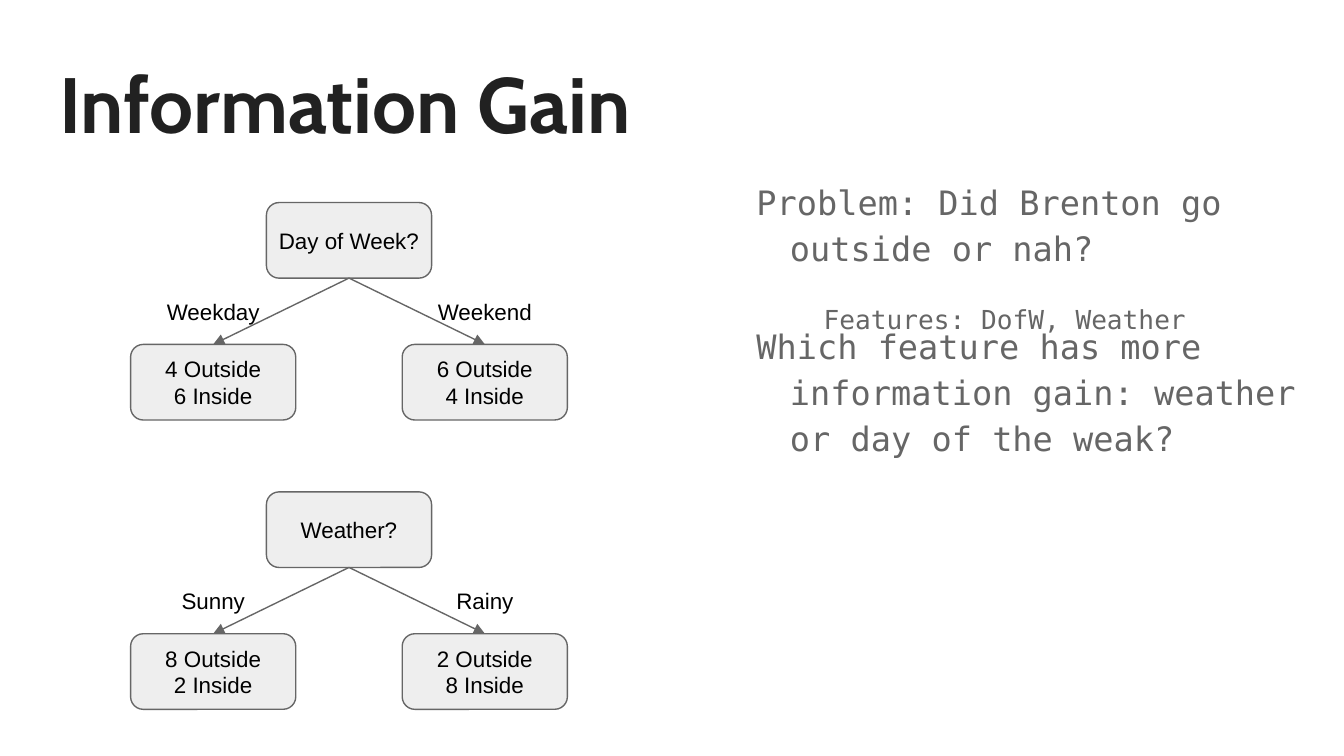
from lxml import etree
from pptx import Presentation
from pptx.dml.color import RGBColor
from pptx.enum import shapes, text
from pptx.oxml.ns import qn
from pptx.util import Pt

INK = RGBColor(0x21, 0x21, 0x21)
GREY = RGBColor(0x66, 0x66, 0x66)
PALE = RGBColor(0xEE, 0xEE, 0xEE)
BLACK = RGBColor(0, 0, 0)

NODE_W, NODE_H = 88.5, 40.5
LABEL_W, LABEL_H = 109.5, 34.5
MID = 187        # centre line of the trees
SIDE = 72.75     # from the centre line to a leaf's centre
DROP = 76        # from a root's top to its leaves' top


def place(shape, left, top, width, height):
    shape.left, shape.top = Pt(left), Pt(top)
    shape.width, shape.height = Pt(width), Pt(height)


def style(par, font, size, color, bold=False):
    for run in par.runs:
        run.font.name, run.font.size = font, Pt(size)
        run.font.color.rgb, run.font.bold = color, bold


def fill_text(shape, words, inset=0):
    """Write centred 12 pt text, one paragraph per line."""
    frame = shape.text_frame
    frame.text = words
    frame.word_wrap = True
    frame.vertical_anchor = text.MSO_ANCHOR.MIDDLE
    frame.margin_left = frame.margin_right = Pt(inset)
    frame.margin_top = frame.margin_bottom = Pt(inset)
    for par in frame.paragraphs:
        par.alignment = text.PP_ALIGN.CENTER
        style(par, "Arial", 12, BLACK)


def add_node(slide, mid, top, words):
    node = slide.shapes.add_shape(
        shapes.MSO_SHAPE.ROUNDED_RECTANGLE,
        Pt(mid - NODE_W / 2), Pt(top), Pt(NODE_W), Pt(NODE_H))
    node.shadow.inherit = False
    node.fill.solid()
    node.fill.fore_color.rgb = PALE
    node.line.color.rgb = GREY
    node.line.width = Pt(0.75)
    fill_text(node, words)
    return node


def add_arrow(slide, start, end):
    arrow = slide.shapes.add_connector(
        shapes.MSO_CONNECTOR.STRAIGHT, 0, 0, 0, 0)
    arrow.begin_connect(start, 2)
    arrow.end_connect(end, 0)
    arrow.line.color.rgb = GREY
    arrow.line.width = Pt(0.75)
    line = arrow.line._get_or_add_ln()
    etree.SubElement(line, qn("a:tailEnd"), type="triangle")
    etree.SubElement(arrow._element.spPr, qn("a:effectLst"))


def add_label(slide, mid, top, words):
    label = slide.shapes.add_textbox(
        Pt(mid - LABEL_W / 2), Pt(top), Pt(LABEL_W), Pt(LABEL_H))
    fill_text(label, words, 7.2)


def add_tree(slide, top, question, branches):
    """Draw a root with a left and a right (label, leaf) branch."""
    root = add_node(slide, MID, top, question)
    for side, (label, counts) in zip((-1, 1), branches):
        mid = MID + side * SIDE
        leaf = add_node(slide, mid, top + DROP, counts)
        add_arrow(slide, root, leaf)
        add_label(slide, mid, top + 41, label)


def set_frame(frame, anchor):
    frame.auto_size = text.MSO_AUTO_SIZE.NONE
    frame.word_wrap = True
    frame.vertical_anchor = anchor
    frame.margin_left = frame.margin_right = Pt(7.2)
    frame.margin_top = frame.margin_bottom = Pt(7.2)


def set_title(title, words):
    place(title, 24.5, 23, 671, 63.5)
    title.text_frame.text = words
    set_frame(title.text_frame, text.MSO_ANCHOR.MIDDLE)
    par = title.text_frame.paragraphs[0]
    par.alignment = text.PP_ALIGN.LEFT
    style(par, "Cabin", 42, INK, True)


def set_body(body, top, lines):
    place(body, 380, top, 335, 160)
    frame = body.text_frame
    frame.text = "\n".join(lines)
    set_frame(frame, text.MSO_ANCHOR.TOP)
    for level, par in enumerate(frame.paragraphs):
        par.level = level
        props = par._p.get_or_add_pPr()
        props.set("marL", str(Pt(36 * (level + 1))))
        props.set("indent", str(Pt(-18)))
        etree.SubElement(props, qn("a:buNone"))
        par.line_spacing = 1.15
        par.space_before, par.space_after = Pt(0), Pt(16)
        style(par, "DejaVu Sans Mono", 18 - 4 * level, GREY)


def main():
    deck = Presentation()
    deck.slide_width, deck.slide_height = Pt(720), Pt(405)
    slide = deck.slides.add_slide(deck.slide_layouts[3])
    title, problem, ask = slide.placeholders

    set_title(title, "Information Gain")
    set_body(problem, 87, ["Problem: Did Brenton go outside or nah?",
                           "Features: DofW, Weather"])
    set_body(ask, 164, ["Which feature has more information gain: "
                        "weather or day of the weak?"])
    add_tree(slide, 108.5, "Day of Week?",
             [("Weekday", "4 Outside\n6 Inside"),
              ("Weekend", "6 Outside\n4 Inside")])
    add_tree(slide, 263.5, "Weather?",
             [("Sunny", "8 Outside\n2 Inside"),
              ("Rainy", "2 Outside\n8 Inside")])
    deck.save("out.pptx")


if __name__ == "__main__":
    main()
